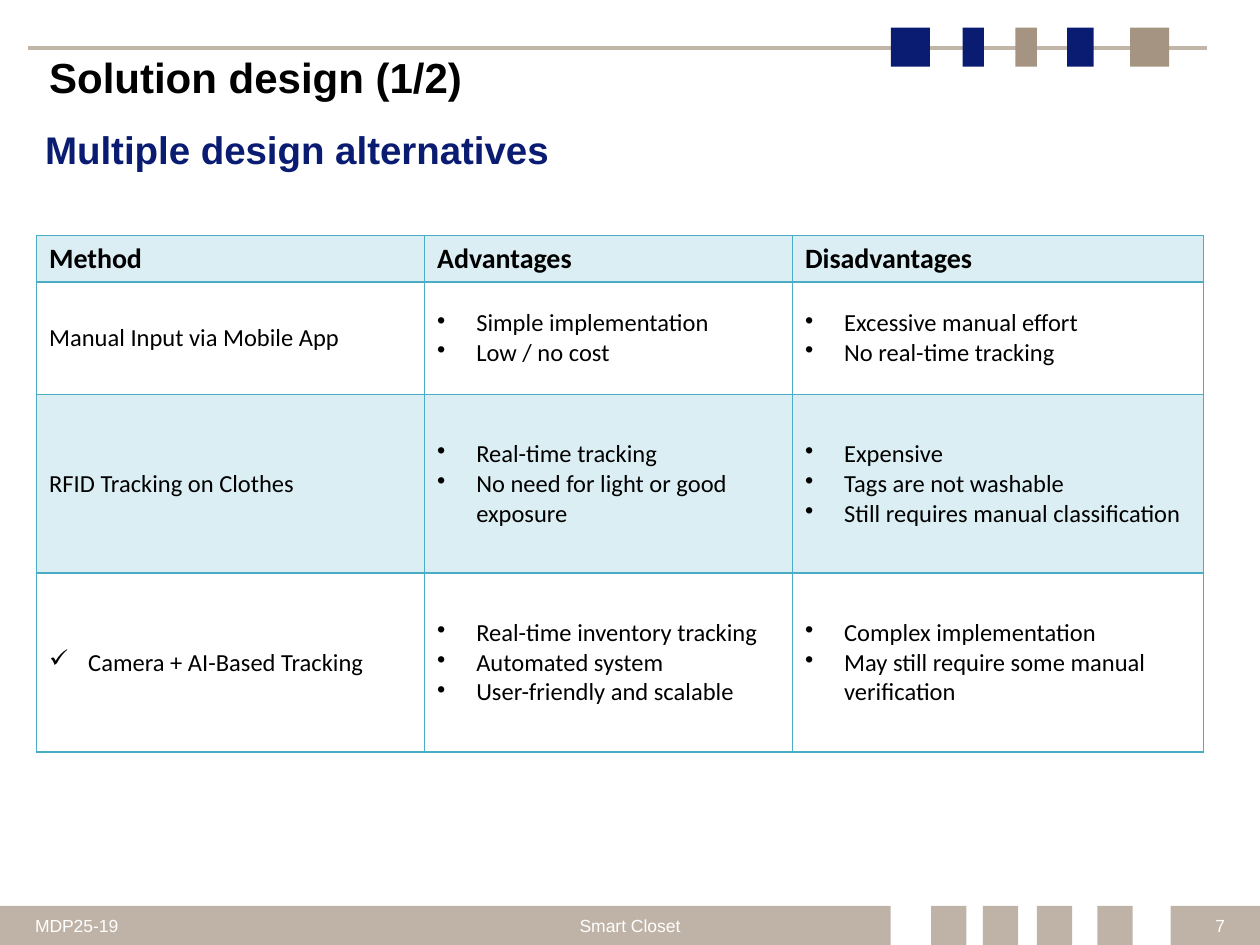
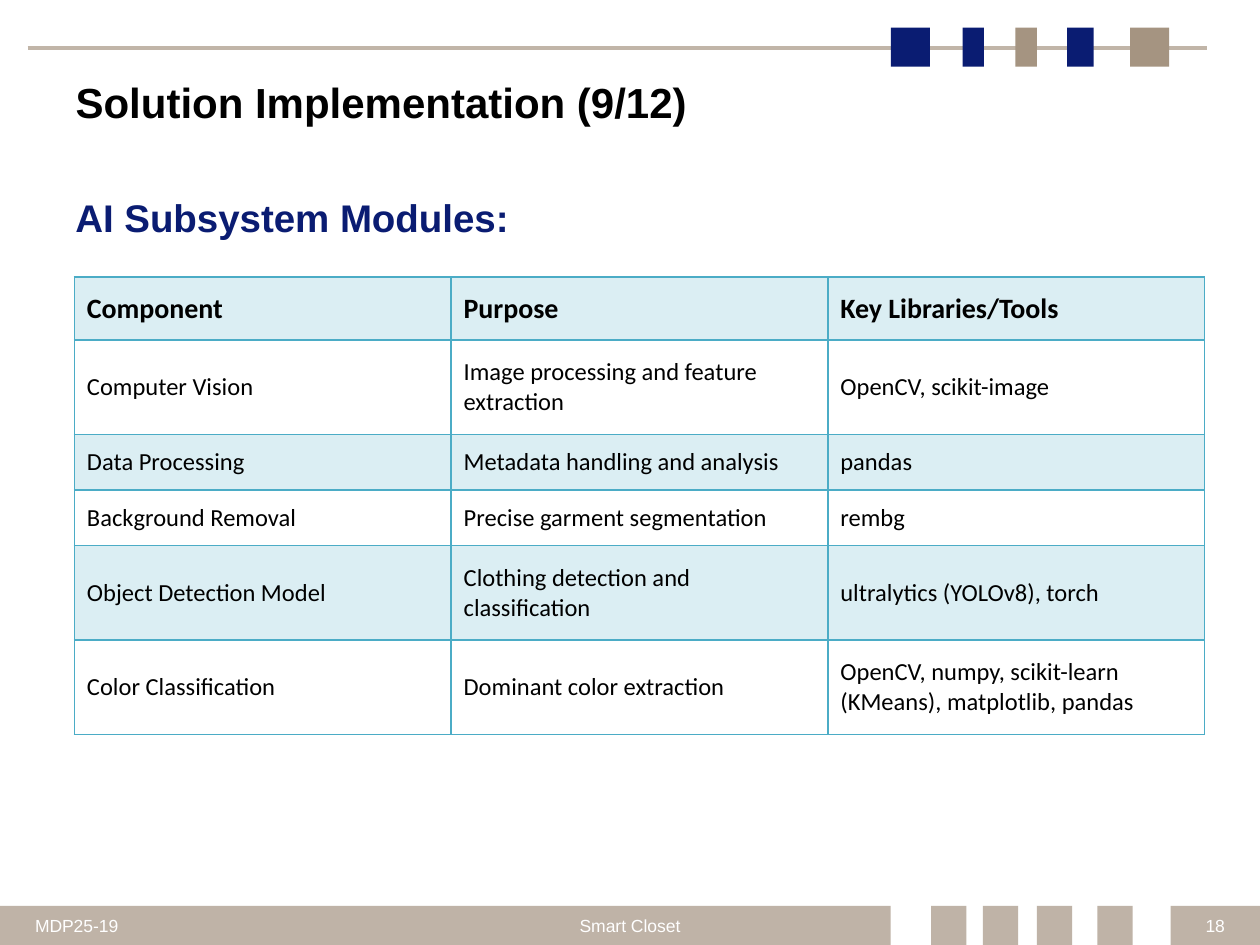
import pptx
import pptx.util
import pptx.dml.color
import pptx.enum.shapes
import pptx.enum.text
import pptx.oxml.ns
from lxml import etree

Inches = pptx.util.Inches
Pt = pptx.util.Pt
ALIGN = pptx.enum.text.PP_ALIGN
ANCHOR = pptx.enum.text.MSO_ANCHOR

COLORS = {
    "navy": "0A1C72",
    "tan": "A59481",
    "rule": "C1B5A8",
    "band": "BFB3A7",
    "grid": "4BACC6",
    "ink": "000000",
    "white": "FFFFFF",
}
MARKS = "•✓"
INDENT = Inches(0.31)

# Left edge, width and colour of the blocks on the top rule
TOP_BLOCKS = [
    (7.07, 0.31, "navy"), (7.64, 0.17, "navy"), (8.47, 0.21, "navy"),
    (8.06, 0.17, "tan"), (8.97, 0.31, "tan"),
]
# Left edge and width of the footer blocks
FOOT_BLOCKS = [(0, 7.07), (7.39, 0.28), (7.8, 0.28), (8.23, 0.28),
               (8.71, 0.28), (9.29, 0.71)]

# Table rows; a list is one marked paragraph per item
METHODS = [
    ["Method", "Advantages", "Disadvantages"],
    ["Manual Input via Mobile App",
     ["•Simple implementation", "•Low / no cost"],
     ["•Excessive manual effort", "•No real-time tracking"]],
    ["RFID Tracking on Clothes",
     ["•Real-time tracking", "•No need for light or good exposure"],
     ["•Expensive", "•Tags are not washable",
      "•Still requires manual classification"]],
    [["✓Camera + AI-Based Tracking"],
     ["•Real-time inventory tracking", "•Automated system",
      "•User-friendly and scalable"],
     ["•Complex implementation",
      "•May still require some manual verification"]],
]
MODULES = [
    ["Component", "Purpose", "Key Libraries/Tools"],
    ["Computer Vision", "Image processing and feature extraction",
     "OpenCV, scikit-image"],
    ["Data Processing", "Metadata handling and analysis", "pandas"],
    ["Background Removal", "Precise garment segmentation", "rembg"],
    ["Object Detection Model", "Clothing detection and classification",
     "ultralytics (YOLOv8), torch"],
    ["Color Classification", "Dominant color extraction",
     "OpenCV, numpy, scikit-learn (KMeans), matplotlib, pandas"],
]


def rgb(name):
    return pptx.dml.color.RGBColor.from_string(COLORS[name])


def add_tag(parent, tag, **attrs):
    return etree.SubElement(parent, pptx.oxml.ns.qn(tag), **attrs)


def set_font(para, size, color, bold=False, face="Arial"):
    font = para.font
    font.name, font.size, font.bold = face, Pt(size), bold
    font.color.rgb = rgb(color)


def add_block(slide, left, top, width, height, color):
    block = slide.shapes.add_shape(
        pptx.enum.shapes.MSO_SHAPE.RECTANGLE,
        Inches(left), Inches(top), Inches(width), Inches(height))
    block.shadow.inherit = False
    block.fill.solid()
    block.fill.fore_color.rgb = rgb(color)
    block.line.fill.background()


def add_rule(slide):
    rule = slide.shapes.add_connector(
        pptx.enum.shapes.MSO_CONNECTOR.STRAIGHT,
        Inches(0.22), Inches(0.38), Inches(9.58), Inches(0.38))
    rule.line.color.rgb = rgb("rule")
    rule.line.width = Pt(2.25)
    add_tag(rule._element.spPr, "a:effectLst")


def add_label(slide, text, left, top, width, height, size, color,
              bold=False, align=ALIGN.LEFT):
    box = slide.shapes.add_textbox(
        Inches(left), Inches(top), Inches(width), Inches(height))
    box.text_frame.word_wrap = True
    para = box.text_frame.paragraphs[0]
    para.text, para.alignment = text, align
    set_font(para, size, color, bold)


def set_title(slide, text, left, top):
    title = slide.shapes.title
    title.left, title.top = Inches(left), Inches(top)
    title.width, title.height = Inches(9), Inches(0.82)
    title.text_frame.vertical_anchor = ANCHOR.TOP
    para = title.text_frame.paragraphs[0]
    para.text, para.alignment = text, ALIGN.LEFT
    set_font(para, 24, "ink", True)


def add_slide(deck, title, left, top, number):
    slide = deck.slides.add_slide(deck.slide_layouts[5])
    # Header rule and blocks
    add_rule(slide)
    for x, width, color in TOP_BLOCKS:
        add_block(slide, x, 0.22, width, 0.31, color)
    # Footer band and labels
    for x, width in FOOT_BLOCKS:
        add_block(slide, x, 7.19, width, 0.31, "band")
    for text, x, width, align in [
            ("MDP25-19", 0.18, 1.17, ALIGN.LEFT),
            ("Smart Closet", 1.87, 6.26, ALIGN.CENTER),
            (number, 8.65, 1.17, ALIGN.RIGHT)]:
        add_label(slide, text, x, 7.21, width, 0.29, 10, "white", align=align)
    set_title(slide, title, left, top)
    return slide


def set_edges(cell):
    props = cell._tc.get_or_add_tcPr()
    for side in ("a:lnL", "a:lnR", "a:lnT", "a:lnB"):
        edge = add_tag(props, side, w=str(Pt(1)))
        fill = add_tag(edge, "a:solidFill")
        add_tag(fill, "a:srgbClr", val=COLORS["grid"])


def set_fill(cell, tinted):
    if not tinted:
        cell.fill.background()
        return
    cell.fill.solid()
    cell.fill.fore_color.rgb = rgb("grid")
    color = cell._tc.tcPr.find(".//" + pptx.oxml.ns.qn("a:solidFill")
                               + "[last()]")
    for fill in cell._tc.tcPr.findall(pptx.oxml.ns.qn("a:solidFill")):
        color = fill[0]
    add_tag(color, "a:alpha", val="20000")


def set_mark(para, mark):
    props = para._p.get_or_add_pPr()
    props.set("marL", str(INDENT))
    props.set("indent", str(-INDENT))
    add_tag(props, "a:buChar", char=mark)


def fill_cell(cell, content, head):
    cell.vertical_anchor = ANCHOR.MIDDLE
    items = content if isinstance(content, list) else [content]
    frame = cell.text_frame
    for i, item in enumerate(items):
        para = frame.add_paragraph() if i else frame.paragraphs[0]
        para.text = item.lstrip(MARKS)
        if item[0] in MARKS:
            set_mark(para, item[0])
        set_font(para, 16 if head else 14, "ink", head, "Calibri")


def add_grid(slide, rows, left, top, widths, heights):
    table = slide.shapes.add_table(
        len(rows), len(widths), Inches(left), Inches(top),
        Inches(sum(widths)), Inches(sum(heights))).table
    table.first_row = table.horz_banding = False
    for column, width in zip(table.columns, widths):
        column.width = Inches(width)
    for r, (row, height) in enumerate(zip(rows, heights)):
        table.rows[r].height = Inches(height)
        for c, content in enumerate(row):
            cell = table.cell(r, c)
            set_edges(cell)
            set_fill(cell, r % 2 == 0)
            fill_cell(cell, content, r == 0)


def main():
    deck = pptx.Presentation()
    deck.slide_width, deck.slide_height = Inches(10), Inches(7.5)

    # Design alternatives
    slide = add_slide(deck, "Solution design (1/2)", 0.29, 0.36, "7")
    add_label(slide, "Multiple design alternatives",
              0.26, 0.95, 5.39, 0.47, 22, "navy", True)
    add_grid(slide, METHODS, 0.29, 1.87,
             [3.08, 2.92, 3.26], [0.37, 0.89, 1.42, 1.42])

    # Subsystem modules
    slide = add_slide(deck, "Solution Implementation (9/12)", 0.5, 0.56, "18")
    add_label(slide, "AI Subsystem Modules:",
              0.5, 1.49, 9, 0.47, 22, "navy", True)
    add_grid(slide, MODULES, 0.59, 2.2,
             [2.99] * 3, [0.5, 0.75, 0.44, 0.44, 0.75, 0.75])

    deck.save("out.pptx")


if __name__ == "__main__":
    main()
